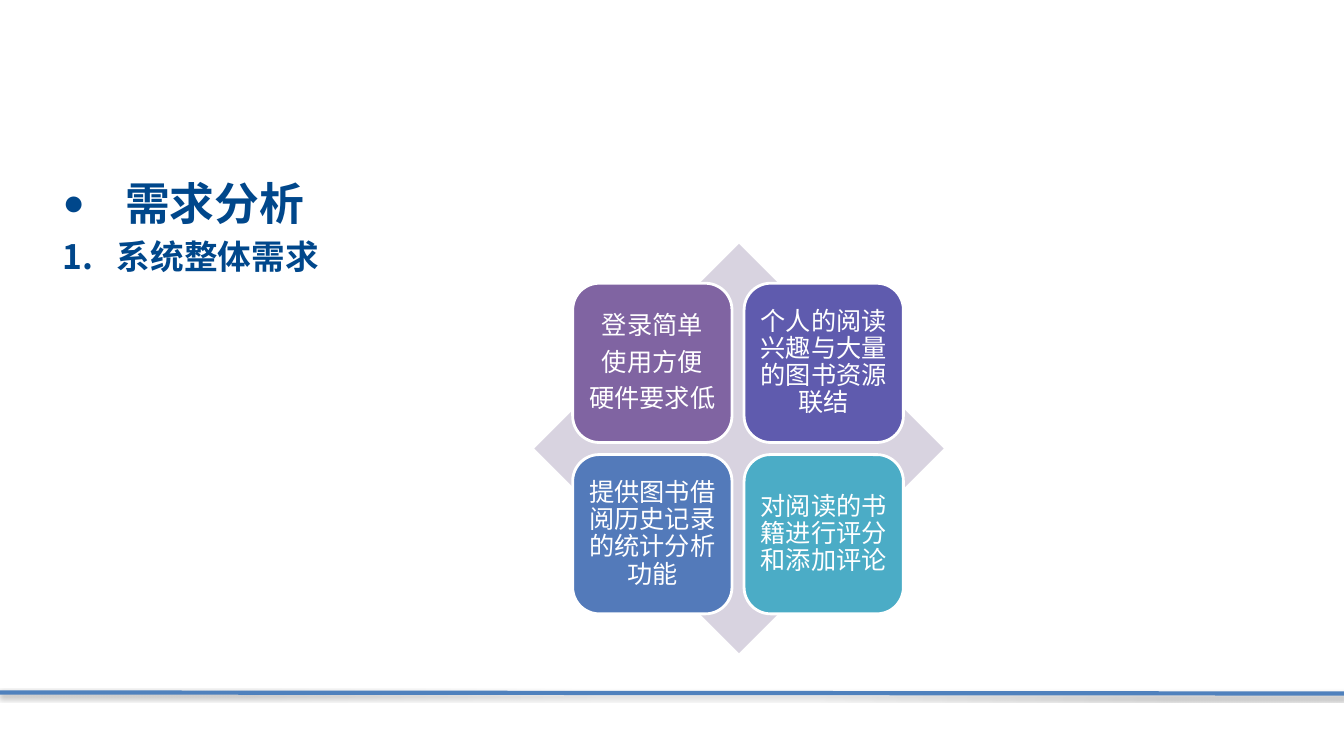
from dataclasses import dataclass

from lxml.etree import SubElement
from pptx import Presentation
from pptx.dml.color import RGBColor
from pptx.enum.shapes import MSO_CONNECTOR as Connector, MSO_SHAPE as Shape
from pptx.enum.text import MSO_ANCHOR as Anchor, MSO_AUTO_SIZE as AutoSize, PP_ALIGN as Align
from pptx.oxml.ns import qn
from pptx.util import Inches, Pt


@dataclass(frozen=True)
class Theme:
    heading_font: str = "Noto Sans CJK SC"
    tile_font: str = "Calibri"
    heading: str = "00478B"
    rule: str = "4F81BD"
    diamond: str = "D8D3E0"
    white: str = "FFFFFF"
    heading_size: int = 32
    subheading_size: int = 24
    tile_size: int = 18


@dataclass(frozen=True)
class Tile:
    fill: str
    lines: tuple[str, ...]


THEME = Theme()
TILES = (
    Tile("8064A2", ("登录简单", "使用方便", "硬件要求低")),
    Tile("5F5BAE", ("个人的阅读兴趣与大量的图书资源联结",)),
    Tile("537ABA", ("提供图书借阅历史记录的统计分析功能",)),
    Tile("4BACC6", ("对阅读的书籍进行评分和添加评论",)),
)
TILE_LEFT, TILE_TOP, TILE_SIDE, TILE_PITCH = 5.68, 2.81, 1.58, 1.7


def add_run(paragraph, text: str, font: str, size: int, color: str, bold: bool = False) -> None:
    run = paragraph.add_run()
    run.text = text
    run.font.name = font
    run.font.size = Pt(size)
    run.font.bold = bold
    run.font.color.rgb = RGBColor.from_string(color)
    SubElement(run.font._element, qn("a:ea"), typeface=font)


def set_hanging_indent(paragraph, inches: float):
    """Hang the first line and return the paragraph properties."""
    props = paragraph._p.get_or_add_pPr()
    props.set("marL", str(Inches(inches)))
    props.set("indent", str(-Inches(inches)))
    return props


def set_percent_spacing(paragraph, tag: str, percent: int) -> None:
    spacing = SubElement(paragraph._p.get_or_add_pPr(), qn(tag))
    SubElement(spacing, qn("a:spcPct"), val=str(percent * 1000))


def add_footer_rule(slide) -> None:
    rule = slide.shapes.add_connector(
        Connector.STRAIGHT, 0, Inches(6.87), Inches(13.33), Inches(6.88))
    rule.line.color.rgb = RGBColor.from_string(THEME.rule)
    rule.line.width = Pt(3)
    effects = SubElement(rule._element.spPr, qn("a:effectLst"))
    shadow = SubElement(effects, qn("a:outerShdw"), blurRad=str(Pt(3.1)),
                        dist=str(Pt(1.8)), dir="5400000", rotWithShape="0")
    black = SubElement(shadow, qn("a:srgbClr"), val="000000")
    SubElement(black, qn("a:alpha"), val="35000")


def fill_headings(body) -> None:
    body.left, body.top = Inches(0.52), Inches(1.69)
    body.width, body.height = Inches(11.76), Inches(3.94)
    frame = body.text_frame
    frame.auto_size = AutoSize.NONE

    heading = frame.paragraphs[0]
    props = set_hanging_indent(heading, 0.62)
    set_percent_spacing(heading, "a:spcBef", 20)
    SubElement(props, qn("a:buFont"), typeface="+mj-lt")
    SubElement(props, qn("a:buAutoNum"), type="ea1JpnChsDbPeriod", startAt="2")
    add_run(heading, "需求分析", THEME.heading_font, THEME.heading_size, THEME.heading, True)

    subheading = frame.add_paragraph()
    props = set_hanging_indent(subheading, 0.54)
    set_percent_spacing(subheading, "a:spcBef", 20)
    SubElement(props, qn("a:buNone"))
    add_run(subheading, "1.\t系统整体需求", THEME.heading_font,
            THEME.subheading_size, THEME.heading, True)


def add_filled(shapes, preset: Shape, left: float, top: float, side: float, fill: str):
    shape = shapes.add_shape(preset, Inches(left), Inches(top), Inches(side), Inches(side))
    shape.shadow.inherit = False
    shape.fill.solid()
    shape.fill.fore_color.rgb = RGBColor.from_string(fill)
    shape.line.fill.background()
    return shape


def add_tile(shapes, tile: Tile, left: float, top: float) -> None:
    card = add_filled(shapes, Shape.ROUNDED_RECTANGLE, left, top, TILE_SIDE, tile.fill)
    card.line.color.rgb = RGBColor.from_string(THEME.white)
    card.line.width = Pt(2)
    frame = card.text_frame
    frame.word_wrap = True
    frame.vertical_anchor = Anchor.MIDDLE
    frame.margin_left = frame.margin_right = Inches(0.07)
    frame.margin_top = frame.margin_bottom = Inches(0.07)
    for index, line in enumerate(tile.lines):
        paragraph = frame.add_paragraph() if index else frame.paragraphs[0]
        paragraph.alignment = Align.CENTER
        paragraph.line_spacing = 0.9
        set_percent_spacing(paragraph, "a:spcAft", 35)
        add_run(paragraph, line, THEME.tile_font, THEME.tile_size, THEME.white)


def add_requirement_matrix(slide) -> None:
    matrix = slide.shapes.add_group_shape().shapes
    add_filled(matrix, Shape.DIAMOND, 5.3, 2.42, 4.06, THEME.diamond)
    for index, tile in enumerate(TILES):
        row, column = divmod(index, 2)
        add_tile(matrix, tile, TILE_LEFT + column * TILE_PITCH, TILE_TOP + row * TILE_PITCH)


def main() -> None:
    deck = Presentation()
    deck.slide_width, deck.slide_height = Inches(13.33), Inches(7.5)
    slide = deck.slides.add_slide(deck.slide_layouts[1])
    unused_title = slide.shapes.title._element
    unused_title.getparent().remove(unused_title)
    add_footer_rule(slide)
    fill_headings(slide.placeholders[1])
    add_requirement_matrix(slide)
    deck.save("out.pptx")


if __name__ == "__main__":
    main()
